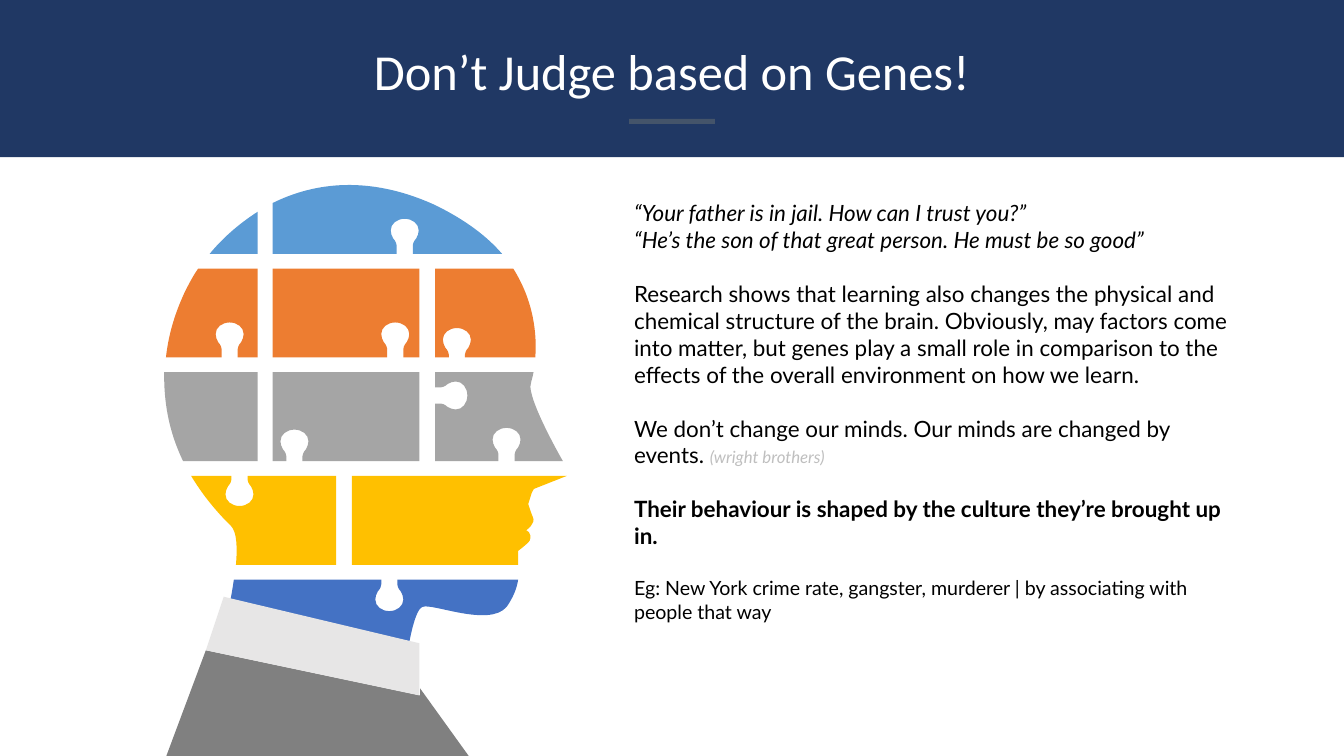
from pptx import Presentation
from pptx.dml.color import RGBColor
from pptx.enum.shapes import MSO_SHAPE
from pptx.enum.text import PP_ALIGN
from pptx.oxml.ns import qn
from pptx.util import Pt

WIDE, HIGH = 1919.5, 1080
TOPS = [235.6 + 148.1 * i for i in range(5)]
ENDS = [top + 127 for top in TOPS]
LEFT, MID, RIGHT, EDGE = 368, 389.5, 599, 621.5
UP, DOWN, EAST = (0, -1), (0, 1), (1, 0)
BLUE, ORANGE, GREY, GOLD, NAVY = "5B9BD5", "ED7D31", "A5A5A5", "FFC000", "4472C4"


def color(code):
    return RGBColor.from_string(code)


def knob(x, y, deep, way):
    dx, dy = way

    def place(*nums):
        spots = []
        for u, v in zip(nums[::2], nums[1::2]):
            spots += [x - u * dy + v * dx, y + u * dx + v * dy]
        return tuple(spots)

    return [
        place(-11.5, 0),
        place(-11.5, deep - 38),
        place(-12.5, deep - 34),
        place(-13, deep - 31, -15, deep - 31, -16.5, deep - 28),
        place(-18.5, deep - 24, -20, deep - 21, -20, deep - 16.5),
        place(-20, deep - 7, -11, deep, 0, deep),
        place(11, deep, 20, deep - 7, 20, deep - 16.5),
        place(20, deep - 21, 18.5, deep - 24, 16.5, deep - 28),
        place(15, deep - 31, 13, deep - 31, 12.5, deep - 34),
        place(11.5, deep - 38),
        place(11.5, 0),
    ]


class Deck:
    def __init__(self, slide, font):
        self.slide = slide
        self.font = font

    def paint(self, shape, fill):
        shape.shadow.inherit = False
        shape.fill.solid()
        shape.fill.fore_color.rgb = color(fill)
        shape.line.fill.background()

    def rect(self, x, y, w, h, fill):
        shape = self.slide.shapes.add_shape(MSO_SHAPE.RECTANGLE, Pt(x), Pt(y), Pt(w), Pt(h))
        self.paint(shape, fill)

    def piece(self, fill, *steps):
        spots = [(Pt(x), Pt(y)) for step in steps for x, y in zip(step[::2], step[1::2])]
        pen = self.slide.shapes.build_freeform(*spots[0])
        pen.add_line_segments(spots[1:], close=True)
        shape = pen.convert_to_shape()
        self.curve(shape, steps[1:])
        self.paint(shape, fill)

    def curve(self, shape, steps):
        nodes = iter(list(shape.element.iter(qn("a:lnTo"))))
        for step in steps:
            node = next(nodes)
            if len(step) == 6:
                node.tag = qn("a:cubicBezTo")
                for more in (next(nodes), next(nodes)):
                    node.append(more[0])
                    more.getparent().remove(more)

    def text(self, x, y, w, h, paras, align=PP_ALIGN.LEFT):
        frame = self.slide.shapes.add_textbox(Pt(x), Pt(y), Pt(w), Pt(h)).text_frame
        frame.word_wrap = True
        for i, (gap, runs) in enumerate(paras):
            para = frame.paragraphs[0] if i == 0 else frame.add_paragraph()
            para.alignment = align
            if gap:
                para.space_before = Pt(gap)
            for words, style in runs:
                self.run(para, words, **style)

    def run(self, para, words, size=32, tint="000000", bold=False, slant=False, font=None):
        run = para.add_run()
        run.text = words
        face = run.font
        face.name = font or self.font
        face.size = Pt(size)
        face.bold = bold
        face.italic = slant
        face.color.rgb = color(tint)


def head(deck):
    top = TOPS[4]
    deck.piece(NAVY, (740, top), *knob(556, top, 45, DOWN), (334, top),
               (330.5, 853, 325.5, 875, 325.5, 875), (582, 932.5),
               (582, 932.5, 591, 870.5, 603.5, 867), (617, 861, 698.5, 896.5, 723.5, 867),
               (733.5, 853, 738.5, 839, 740, top))

    top, end = TOPS[3], ENDS[3]
    deck.piece(GOLD, (480, top), *knob(342, top, 43, DOWN), (273, top),
               (287.5, 704, 306, 728, 330, 751.5), (338.5, 760.5, 339, 782.5, 337, end),
               (480, end))
    deck.piece(GOLD, (809.5, top), (502.5, top), (502.5, end), (740, end), (740, 787),
               (740, 787, 753, 777.5, 756.5, 772.5), (761, 761, 751.5, 757.5, 751.5, 757.5),
               (751.5, 757.5, 766, 748, 761, 738.5), (759, 734.5, 754.5, 720, 754.5, 720),
               (759.5, 704), (762.5, 698.5))

    end = ENDS[0]
    deck.piece(BLUE, (EDGE, 293), (528.5, 250.5, 450, 260, MID, 290), (MID, end),
               *knob(578, end, 50, UP), (717, end), (695.5, 337.5, 664.5, 314, EDGE, 293))
    deck.piece(BLUE, (LEFT, 302.5), (341.5, 319.5, 317.5, 340.5, 299.5, end), (LEFT, end))

    deck.piece("808080", (237, 1081.5), (294, 929), (600, 993.5), (600, 983.5), (670.5, 1081.5))
    deck.piece("E7E6E6", (RIGHT, 993.5), (294, 929), (319.5, 852.5), (RIGHT, 919))

    top, end = TOPS[2], ENDS[2]
    deck.piece(GREY, (RIGHT, top), (MID, top), (MID, end),
               *knob(420.5, end, 45, UP), (RIGHT, end))
    deck.piece(GREY, (LEFT, top), (234.5, top), (234, 572.5, 240, 614, 261.5, end), (LEFT, end))
    deck.piece(GREY, (762, top), (EDGE, top), *knob(EDGE, 565, 46, EAST), (EDGE, end),
               *knob(723.5, end, 47.5, UP), (804, end),
               (804, end, 759, 581, 757.5, 552.5), (757.5, 547, 759.5, 545, 762, top))

    top, end = TOPS[1], ENDS[1]
    deck.piece(ORANGE, (733, top), (EDGE, top), (EDGE, end), *knob(652.5, end, 42, UP),
               (764.5, end), (767, 478, 762.5, 430.5, 733, top))
    deck.piece(ORANGE, (RIGHT, top), (MID, top), (MID, end),
               *knob(564.5, end, 50, UP), (RIGHT, end))
    deck.piece(ORANGE, (LEFT, top), (283, top), (275.5, 394.5, 270.5, 404.5, 265.5, 414),
               (252, 442, 241, 474, 237, end), *knob(328, end, 50, UP), (LEFT, end))


def main():
    prs = Presentation()
    prs.slide_width, prs.slide_height = Pt(WIDE), Pt(HIGH)
    deck = Deck(prs.slides.add_slide(prs.slide_layouts[6]), "Lato")

    deck.rect(0, 0, WIDE, 224.5, "203864")
    head(deck)
    title = {"size": 72, "tint": "FFFFFF", "font": "Calibri"}
    deck.text(473, 54, 973.5, 94.5, [(0, [("Don’t Judge based on Genes!", title)])],
              PP_ALIGN.CENTER)
    deck.rect(898.5, 170, 122.5, 7, "44546A")

    gap = 38.4
    quote = {"slant": True}
    deck.text(898.5, 281.5, 871, 628, [
        (0, [("“Your father is in jail. How can I trust you?”", quote)]),
        (0, [("“He’s the son of that great person. He must be so good”", quote)]),
        (gap, [("Research shows that learning also changes the physical and chemical "
                "structure of the brain. Obviously, may factors come into matter, but genes "
                "play a small role in comparison to the effects of the overall environment "
                "on how we learn.", {})]),
        (gap, [("We don’t change our minds. Our minds are changed by events. ", {}),
               ("(wright brothers)", {"size": 24, "tint": "BFBFBF", "slant": True})]),
        (gap, [("Their behaviour is shaped by the culture they’re brought up in.",
                {"bold": True})]),
        (gap, [("Eg: New York crime rate, gangster, murderer | by associating with people "
                "that way", {"size": 28})]),
    ])
    prs.save("out.pptx")


if __name__ == "__main__":
    main()
